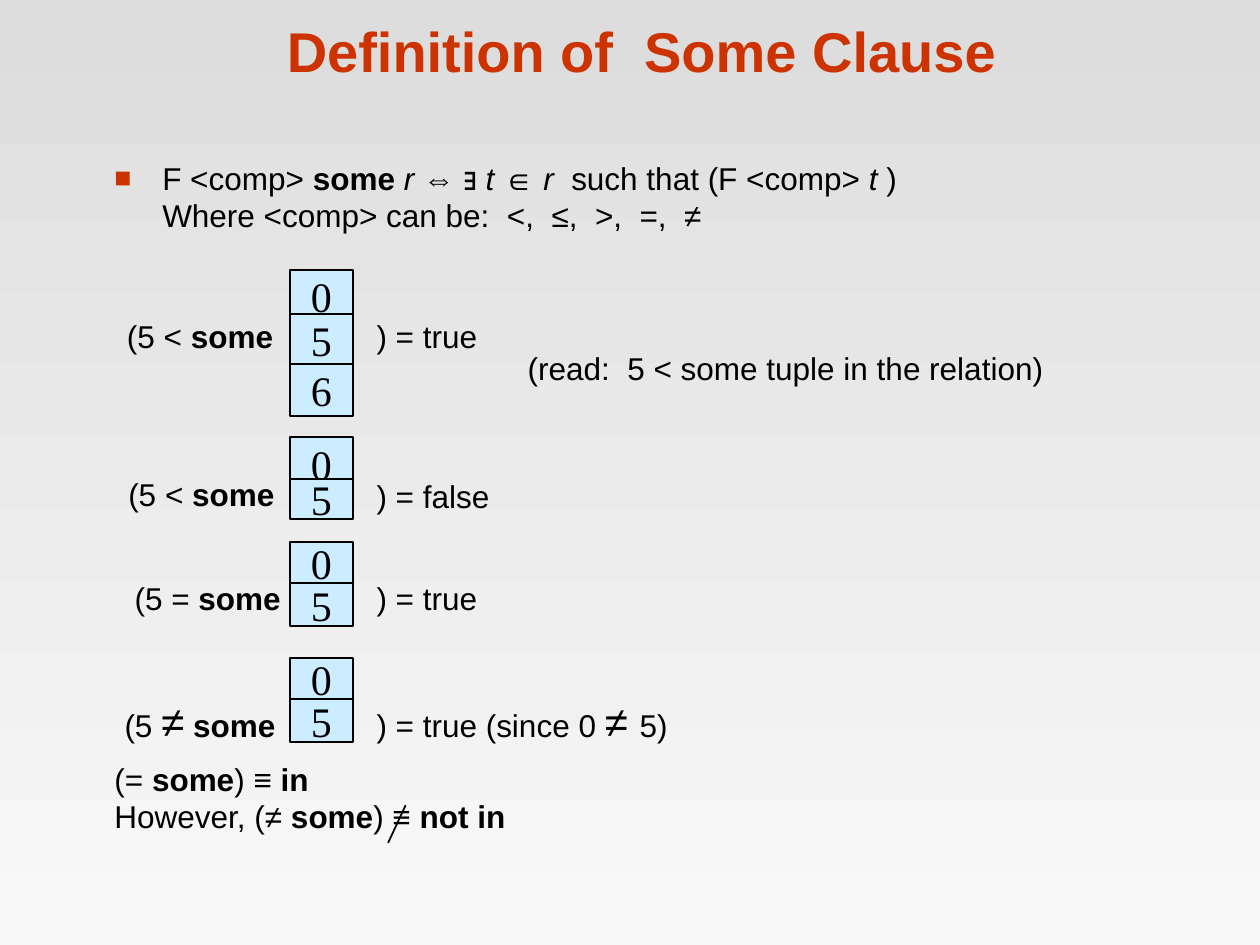
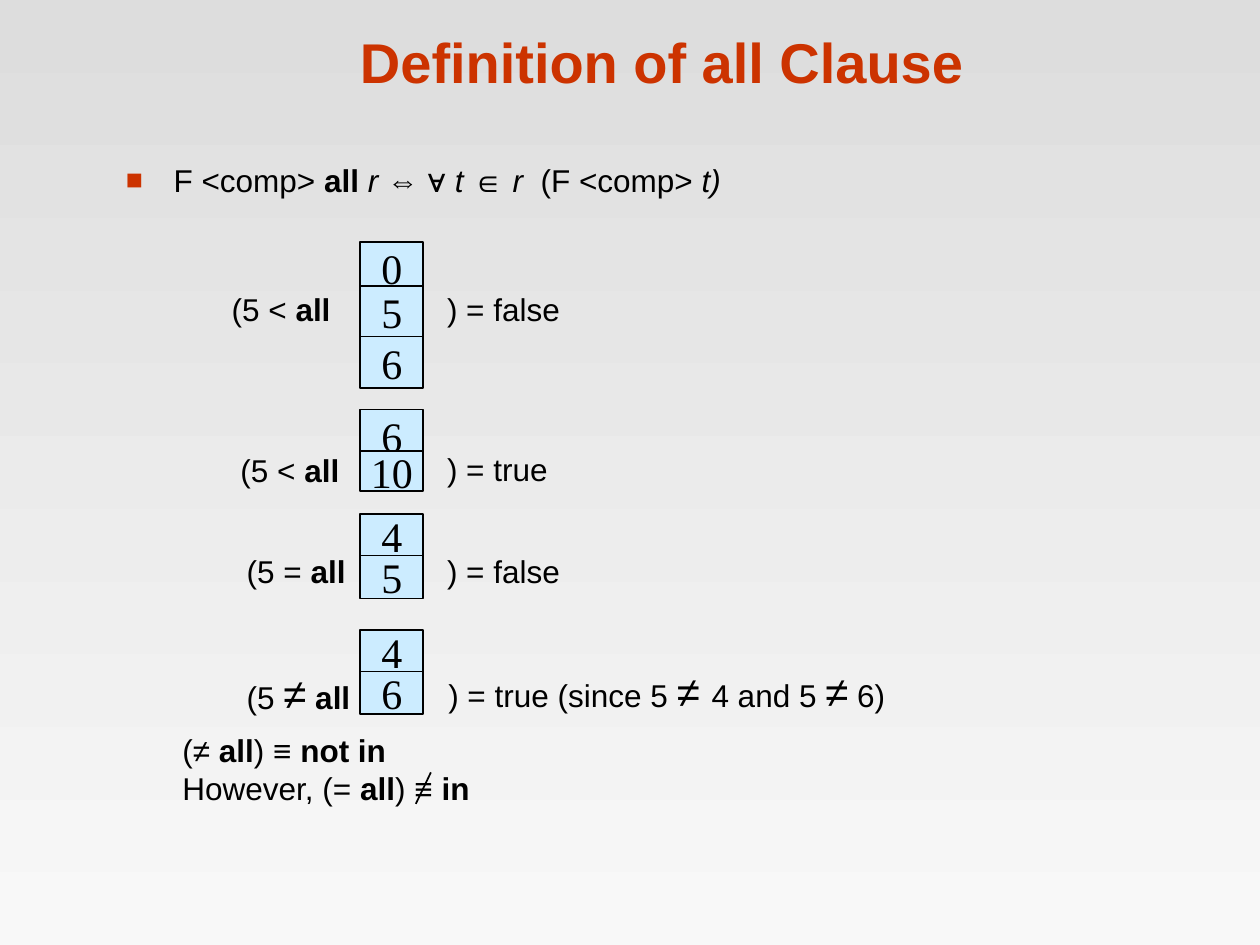
from lxml import etree
from pptx import Presentation
from pptx.dml.color import RGBColor
from pptx.enum.shapes import MSO_CONNECTOR, MSO_SHAPE
from pptx.enum.text import MSO_ANCHOR, PP_ALIGN
from pptx.oxml.ns import qn
from pptx.util import Pt

PX = 9144  # 100 px to the inch
RECTANGLE, STRAIGHT = MSO_SHAPE.RECTANGLE, MSO_CONNECTOR.STRAIGHT
TOP, MIDDLE, BOTTOM = MSO_ANCHOR.TOP, MSO_ANCHOR.MIDDLE, MSO_ANCHOR.BOTTOM
LEFT, CENTER = PP_ALIGN.LEFT, PP_ALIGN.CENTER


class Theme:
    accent = RGBColor(0xCC, 0x33, 0x00)
    ink = RGBColor(0, 0, 0)
    cell = RGBColor(0xCC, 0xEC, 0xFF)
    background = RGBColor(0xDD, 0xDD, 0xDD), RGBColor(0xF8, 0xF8, 0xF8)
    font, cell_font = "Arial", "Times New Roman"
    title_size, text_size, large_size = Pt(32), Pt(18), Pt(24)
    line = Pt(1)


def fill_text(frame, paragraphs, size=Theme.text_size, color=Theme.ink,
              font=Theme.font, align=LEFT, anchor=TOP, wrap=True):
    """Write paragraphs of (text, style) spans; style is "", "bold", "italic" or "large"."""
    frame.word_wrap = wrap
    frame.vertical_anchor = anchor
    for index, spans in enumerate(paragraphs):
        para = frame.add_paragraph() if index else frame.paragraphs[0]
        para.alignment = align
        para.font.name, para.font.size = font, size
        para.font.color.rgb = color
        for text, style in spans:
            for number, line in enumerate(text.split("\n")):
                if number:
                    para.add_line_break()
                span = para.add_run()
                span.text = line
                if style == "bold":
                    span.font.bold = True
                elif style == "italic":
                    span.font.italic = True
                elif style == "large":
                    span.font.size = Theme.large_size


def add_text(page, bounds, paragraphs, **style):
    box = page.shapes.add_textbox(*(length * PX for length in bounds))
    fill_text(box.text_frame, paragraphs, **style)
    return box.text_frame.paragraphs[0]


# Top and height of each cell, one list per example relation
RELATION_ROWS = [
    [(214, 41), (249, 41), (289, 41)],
    [(347, 42), (380, 32)],
    [(430, 34), (463, 34)],
    [(522, 34), (555, 34)],
]
CELL_WIDTH = 50

# Each example: label position, operator, cell values, result position, result spans
CLAUSES = [
    dict(
        word="some",
        title="Definition of  Some Clause", title_bounds=(68, 4, 883, 67),
        definition_bounds=(81, 121, 744, 78),
        definition=[("F <comp> ", ""), ("some ", "bold"), ("r ", "italic"), ("⇔ ∃ ", ""),
                    ("t ", "italic"), ("∈ ", ""), ("r  ", "italic"),
                    ("such that (F <comp> ", ""), ("t ", "italic"),
                    (")\nWhere <comp> can be:  <,  ≤,  >,  =,  ≠", "")],
        cell_left=230, rise=0,
        examples=[
            ((91, 247), "<", "0 5 6", (289, 247), [(") = true", "")]),
            ((92, 372), "<", "0 5", (289, 374), [(") = false", "")]),
            ((97, 455), "=", "0 5", (289, 455), [(") = true", "")]),
            ((89, 547), "≠", "0 5", (289, 547),
             [(") = true (since 0 ", ""), ("≠ ", "large"), ("5)", "")]),
        ],
        reading=[("(read:  5 < some tuple in the relation)", "")],
        summary_bounds=(81, 598, 744, 78),
        equivalences=[("(= ", "in"), ("However, (≠ ", "not in")],
        slash=(322, 639, 308, 669),
    ),
    dict(
        word="all",
        title="Definition of all Clause", title_bounds=(84, 13, 883, 67),
        definition_bounds=(90, 123, 726, 42),
        definition=[("F <comp> ", ""), ("all ", "bold"), ("r ", "italic"), ("⇔ ∀ ", ""),
                    ("t ", "italic"), ("∈ ", ""), ("r ", "italic"),
                    (" (F <comp> ", ""), ("t)", "italic")],
        cell_left=286, rise=22,
        examples=[
            ((174, 225), "<", "0 5 6", (345, 225), [(") = false", "")]),
            ((181, 353), "<", "6 10", (345, 352), [(") = true", "")]),
            ((186, 433), "=", "4 5", (345, 433), [(") = false", "")]),
            ((186, 525), "≠", "4 6", (346, 523),
             [(") = true (since 5 ", ""), ("≠ ", "large"), ("4 and 5 ", ""),
              ("≠", "large"), (" 6)", "")]),
        ],
        reading=None,
        summary_bounds=(135, 575, 744, 78),
        equivalences=[("(≠ ", "not in"), ("However, (= ", "in")],
        slash=(342, 613, 330, 638),
    ),
]

deck = Presentation()
deck.slide_width, deck.slide_height = 1000 * PX, 750 * PX

for clause in CLAUSES:
    page = deck.slides.add_slide(deck.slide_layouts[6])
    backdrop = page.background.fill
    backdrop.gradient()
    backdrop.gradient_angle = 270
    for stop, color in zip(backdrop.gradient_stops, Theme.background):
        stop.color.rgb = color

    add_text(page, clause["title_bounds"], [[(clause["title"], "bold")]],
             size=Theme.title_size, color=Theme.accent, align=CENTER, anchor=BOTTOM)

    # Definition with a hanging square bullet
    para = add_text(page, clause["definition_bounds"], [clause["definition"]])
    properties = para._p.get_or_add_pPr()
    properties.set("marL", str(38 * PX))
    properties.set("indent", str(-38 * PX))
    bullet_color = etree.Element(qn("a:buClr"))
    etree.SubElement(bullet_color, qn("a:srgbClr"), val=str(Theme.accent))
    bullet_parts = [
        bullet_color,
        etree.Element(qn("a:buSzPct"), val="90000"),
        etree.Element(qn("a:buFont"), typeface=Theme.font),
        etree.Element(qn("a:buChar"), char="■"),
    ]
    for index, part in enumerate(bullet_parts):
        properties.insert(index, part)

    # Examples: label, stacked relation cells, result
    for rows, example in zip(RELATION_ROWS, clause["examples"]):
        label_at, operator, values, result_at, result = example
        for (top, height), value in zip(rows, values.split()):
            bounds = clause["cell_left"], top - clause["rise"], CELL_WIDTH, height
            cell = page.shapes.add_shape(RECTANGLE, *(length * PX for length in bounds))
            cell.shadow.inherit = False
            cell.fill.solid()
            cell.fill.fore_color.rgb = Theme.cell
            cell.line.color.rgb = Theme.ink
            cell.line.width = Theme.line
            fill_text(cell.text_frame, [[(value, "")]], size=Theme.large_size,
                      font=Theme.cell_font, align=CENTER, anchor=MIDDLE, wrap=False)

        large = operator == "≠"
        height = 50 if large else 40
        label = [("(5 ", ""), (operator, "large" if large else ""), (" ", ""),
                 (clause["word"], "bold")]
        add_text(page, (*label_at, 160, height), [label])
        add_text(page, (*result_at, 500 if large else 133, height), [result])

    if clause["reading"]:
        add_text(page, (409, 272, 533, 40), [clause["reading"]])

    summary = [[(start, ""), (clause["word"], "bold"), (") ≡ ", ""), (meaning, "bold")]
               for start, meaning in clause["equivalences"]]
    add_text(page, clause["summary_bounds"], summary)

    slash = page.shapes.add_connector(STRAIGHT, *(length * PX for length in clause["slash"]))
    slash.line.color.rgb = Theme.ink
    slash.line.width = Theme.line
    etree.SubElement(slash._element.spPr, qn("a:effectLst"))

deck.save("out.pptx")
